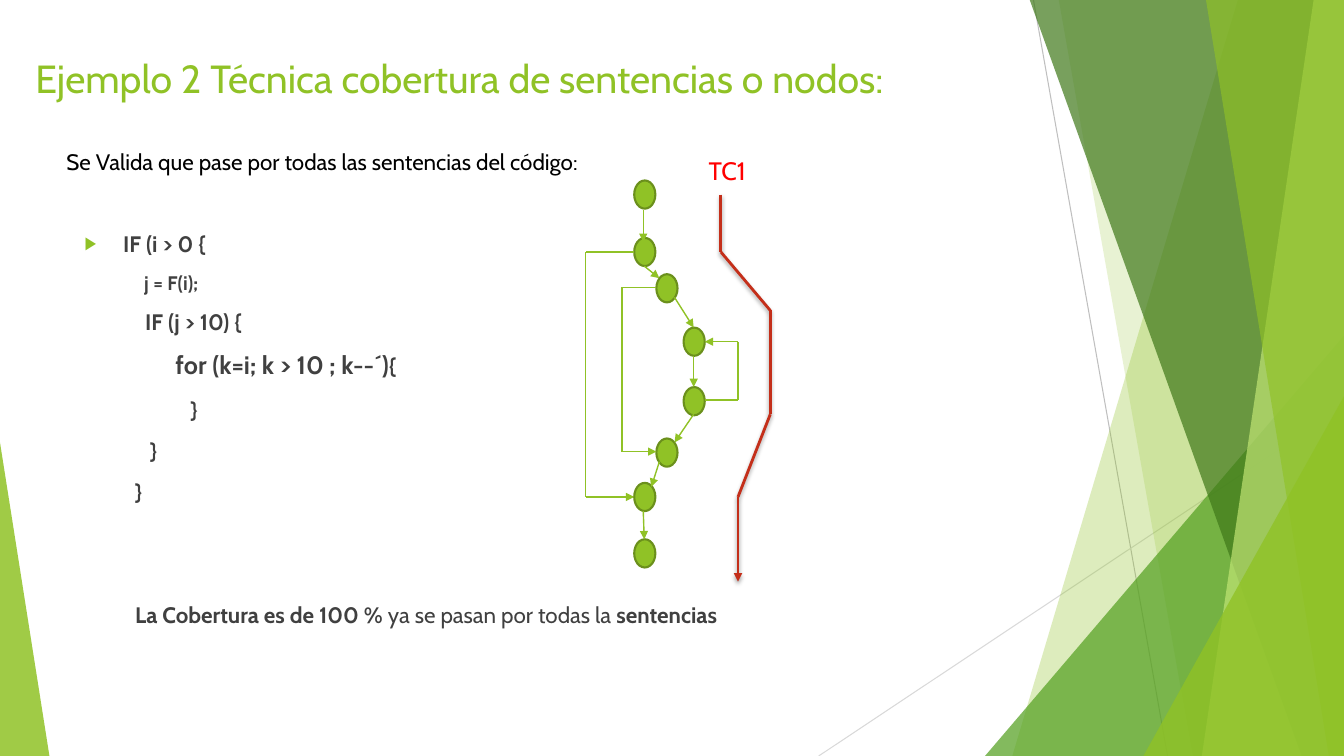
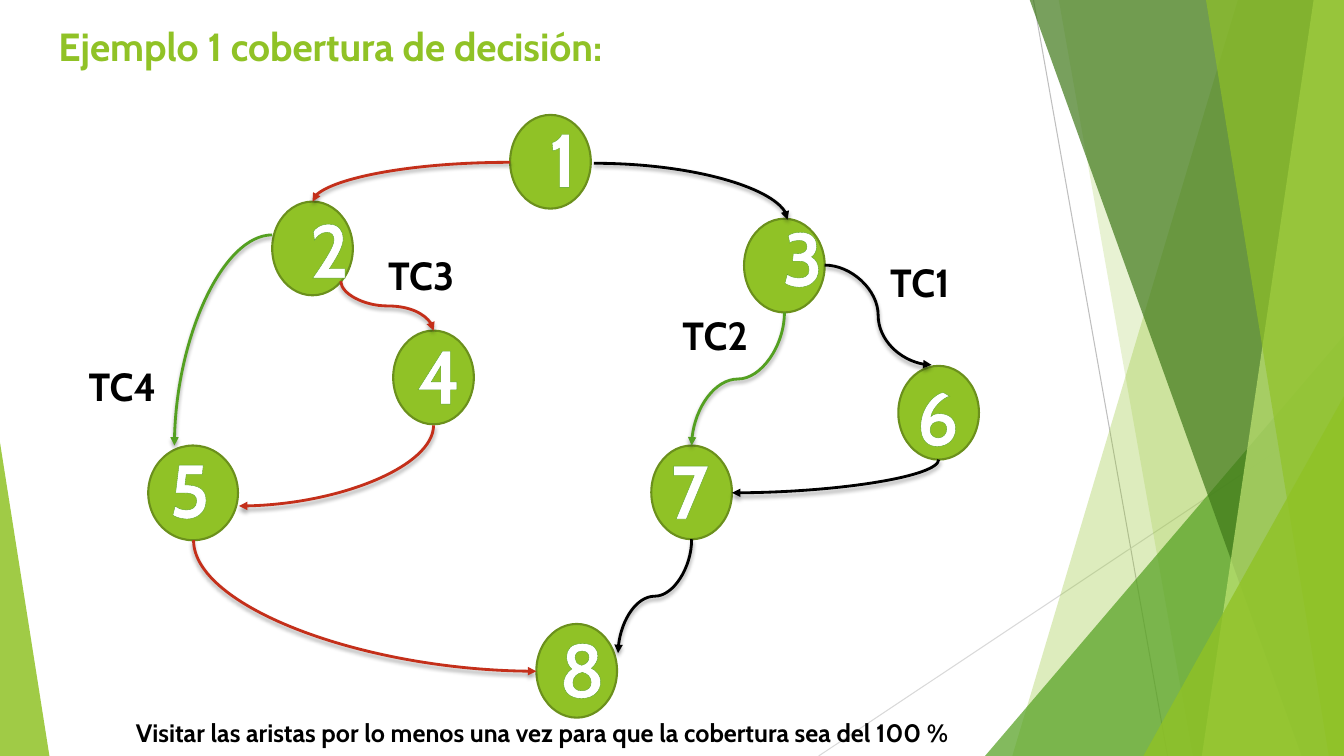
from itertools import pairwise
from lxml.etree import SubElement
from pptx import Presentation
from pptx.dml.color import RGBColor
from pptx.enum.shapes import MSO_CONNECTOR as Link, MSO_SHAPE as Kind
from pptx.enum.text import MSO_ANCHOR as Anchor, MSO_AUTO_SIZE as Fit, PP_ALIGN as Align
from pptx.oxml.ns import qn
from pptx.util import Inches, Pt

# Shared look
FONT = "Cabin"
LIME, GREEN, OLIVE, RED = "90C226", "54A021", "6B901C", "C42F1A"
BLACK, WHITE, GREY = "000000", "FFFFFF", "404040"
WIDE, HIGH = 13.33, 7.5

# Backdrop: thin rays, then panes from back to front
RAYS = [((10.25, 0), (11.58, HIGH), "BFBFBF"), ((WIDE, 4.03), (8.12, HIGH), "D9D9D9")]
# band: top x, bottom x; wedge: left, top, width, apex; then colour, opacity
PANES = [
    ("band", (12.28, 10.04), LIME, 30),
    ("band", (10.5, 11.83), LIME, 20),
    ("wedge", (9.77, 3.33, 3.56, 1), GREEN, 72),
    ("band", (10.21, 12.91), "3F7819", 70),
    ("band", (13.03, 11.92), "C0E474", 70),
    ("band", (11.96, 13.18), LIME, 65),
    ("wedge", (11.34, 3.93, 1.99, 1), LIME, 80),
    ("wedge", (0, 4.39, 0.49, 0), LIME, 85),
]

# Slide 1: code lines as indent, space before, runs of (text, size, bold)
CODE = [
    (0.38, 10, [("IF (i > 0 {", 16, True)]),
    (0.59, 10, [("j = F(i);", 14, True)]),
    (0.6, 10, [("IF (j > 10) {", 16, True)]),
    (0.9, 10, [("for (k=i; k > 10 ; k--´)", 18, True), ("{", 16, True)]),
    (1.05, 12, [("}", 16, True)]),
    (0.65, 10, [("}", 16, True)]),
    (0.5, 10, [("}", 16, True)]),
    (0.5, 69, [("La Cobertura es de 100 %", 16, True),
               (" ya se pasan por todas la ", 16, False), ("sentencias", 16, True)]),
]
DOTS = [(6.29, 1.79), (6.29, 2.36), (6.51, 2.72), (6.78, 3.25),
        (6.78, 3.84), (6.51, 4.35), (6.29, 4.79), (6.29, 5.35)]
STEPS = [
    [(6.38, 2.08), (6.38, 2.4)],
    [(6.39, 2.64), (6.54, 2.76)],
    [(6.69, 2.95), (6.88, 3.25)],
    [(6.88, 3.53), (6.88, 3.84)],
    [(6.88, 4.11), (6.69, 4.39)],
    [(6.54, 4.58), (6.46, 4.83)],
    [(6.38, 5.07), (6.39, 5.35)],
    [(6.99, 3.97), (7.32, 3.97), (7.32, 3.39), (6.99, 3.39)],
    [(6.51, 2.85), (6.17, 2.85), (6.17, 4.48), (6.51, 4.48)],
    [(6.29, 2.5), (5.81, 2.5), (5.81, 4.93), (6.29, 4.93)],
]
TRACE = [(7.15, 1.93), (7.15, 2.5), (7.64, 3.08), (7.64, 4.11), (7.32, 4.93), (7.32, 5.77)]

# Slide 2: number, oval left, top, width, height, digit left, top
NODES = [
    ("1", 5.06, 1.14, 0.8, 0.93, 5.32, 1.06),
    ("2", 2.7, 2, 0.8, 0.93, 2.97, 1.96),
    ("3", 7.38, 2.17, 0.8, 0.93, 7.66, 2.04),
    ("4", 3.9, 3.28, 0.8, 0.93, 4.04, 3.21),
    ("5", 1.47, 4.42, 0.89, 0.94, 1.58, 4.34),
    ("6", 8.91, 3.63, 0.8, 0.93, 8.99, 3.62),
    ("7", 6.46, 4.42, 0.8, 0.93, 6.55, 4.35),
    ("8", 5.32, 6.19, 0.8, 0.93, 5.45, 6.12),
]
# start, end, first direction, bends, colour
ARCS = [
    ((1.92, 5.36), (5.32, 6.66), "down", 1, RED),
    ((8.18, 2.63), (9.24, 3.62), "side", 2, BLACK),
    ((5.06, 1.61), (3.1, 2), "side", 1, RED),
    ((5.89, 1.62), (7.81, 2.18), "side", 1, BLACK),
    ((7.78, 3.1), (6.86, 4.42), "down", 2, GREEN),
    ((6.86, 5.35), (6.13, 6.48), "down", 2, BLACK),
    ((9.31, 4.56), (7.26, 4.89), "down", 1, BLACK),
    ((2.7, 2.33), (1.73, 4.42), "side", 1, GREEN),
    ((3.38, 2.79), (4.3, 3.28), "down", 2, RED),
    ((4.3, 4.22), (2.37, 5.02), "down", 1, RED),
]
TAGS = [("TC1", 8.73, 2.51), ("TC2", 6.67, 3.04), ("TC3", 3.75, 2.44), ("TC4", 0.78, 3.55)]


def rgb(code):
    return RGBColor.from_string(code)


def add(host, tag, **attrs):
    return SubElement(host, qn(tag), {key: str(val) for key, val in attrs.items()})


def style(run, size, color, bold=False):
    font = run.font
    font.name, font.size, font.bold = FONT, Pt(size), bold
    font.color.rgb = rgb(color)


def paint(shape, color, edge=None, clear=100):
    shape.shadow.inherit = False
    shape.fill.solid()
    shape.fill.fore_color.rgb = rgb(color)
    if clear < 100:
        tone = shape.element.spPr.find(".//" + qn("a:srgbClr"))
        add(tone, "a:alpha", val=clear * 1000)
    if edge:
        shape.line.color.rgb = rgb(edge)
        shape.line.width = Pt(1.5)
    else:
        shape.line.fill.background()
    return shape


def ink(line, color, width, arrow=False, shade=False):
    line.line.color.rgb = rgb(color)
    line.line.width = Pt(width)
    props = line.element.spPr
    if arrow:
        add(props.find(qn("a:ln")), "a:tailEnd", type="triangle")
    glow = add(props, "a:effectLst")
    if shade:
        drop = add(glow, "a:outerShdw", blurRad=Pt(3), dist=Pt(2), dir=90 * 60000,
                   algn="ctr", rotWithShape=0)
        add(add(drop, "a:srgbClr", val=BLACK), "a:alpha", val=35000)
    return line


def join(slide, start, end, kind=Link.STRAIGHT):
    return slide.shapes.add_connector(kind, *(Inches(n) for n in (*start, *end)))


def trail(slide, points, color, width, shade=False):
    pairs = list(pairwise(points))
    for i, (start, end) in enumerate(pairs, 1):
        ink(join(slide, start, end), color, width, i == len(pairs), shade)


def arc(slide, start, end, way, bends, color):
    """Curve down the slide; turn the box when it sets off downwards."""
    (x1, y1), (x2, y2) = start, end
    wide, high = abs(x2 - x1), y2 - y1
    midx, midy = (x1 + x2) / 2, (y1 + y2) / 2
    left = x2 < x1
    if way == "down":
        wide, high = high, wide
        turn, flip = (90, None) if left else (270, "flipH")
    else:
        turn, flip = (180, "flipV") if left else (0, None)
    line = join(slide, (midx - wide / 2, midy - high / 2),
                (midx + wide / 2, midy + high / 2), Link.CURVE)
    props = line.element.spPr
    frame = props.find(qn("a:xfrm"))
    frame.set("rot", str(turn * 60000))
    if flip:
        frame.set(flip, "1")
    props.find(qn("a:prstGeom")).set("prst", f"curvedConnector{bends + 1}")
    ink(line, color, 2, True, True)


def oval(slide, *box):
    paint(slide.shapes.add_shape(Kind.OVAL, *map(Inches, box)), LIME, OLIVE)


def label(slide, text, box, size, color, bold=False, wrap=False):
    frame = slide.shapes.add_textbox(*map(Inches, box)).text_frame
    frame.text, frame.word_wrap = text, wrap
    para = frame.paragraphs[0]
    style(para.runs[0], size, color, bold)
    return para


def place(holder, box):
    holder.left, holder.top, holder.width, holder.height = map(Inches, box)
    frame = holder.text_frame
    frame.auto_size, frame.vertical_anchor = Fit.NONE, Anchor.TOP
    return frame


def title(slide, text, box, bold=False):
    frame = place(slide.shapes.title, box)
    frame.text = text
    frame.paragraphs[0].alignment = Align.LEFT
    style(frame.paragraphs[0].runs[0], 28, LIME, bold)


def backdrop(slide, master):
    """Draw the rays and panes, then move them behind the master's text."""
    parts = [ink(join(slide, start, end), color, 0.75) for start, end, color in RAYS]
    for kind, size, color, clear in PANES:
        if kind == "band":
            top, foot = size
            pen = slide.shapes.build_freeform(Inches(top), Inches(-0.01))
            pen.add_line_segments([(Inches(x), Inches(y)) for x, y in
                                   ((WIDE, -0.01), (WIDE, HIGH), (foot, HIGH))])
            pane = pen.convert_to_shape()
        else:
            x, y, wide, apex = size
            pane = slide.shapes.add_shape(Kind.ISOSCELES_TRIANGLE,
                                          *map(Inches, (x, y, wide, HIGH - y)))
            pane.adjustments[0] = apex
        parts.append(paint(pane, color, clear=clear))
    for i, part in enumerate(parts):
        part.element.xpath(".//p:cNvPr")[0].set("id", str(20 + i))
        master.shapes.element.insert(2 + i, part.element)


deck = Presentation()
deck.slide_width, deck.slide_height = Inches(WIDE), Inches(HIGH)

# Slide 1: statement coverage
slide = deck.slides.add_slide(deck.slide_layouts[1])
backdrop(slide, deck.slide_master)
title(slide, "Ejemplo 2 Técnica cobertura de sentencias o nodos:", (0.25, 0.49, 10.62, 0.81))

body = place(slide.placeholders[1], (0.74, 2.23, 9.4, 4.24))
for i, (indent, gap, runs) in enumerate(CODE):
    para = body.add_paragraph() if i else body.paragraphs[0]
    para.level, para.space_before = min(i, 1), Pt(gap)
    for text, size, bold in runs:
        run = para.add_run()
        run.text = text
        style(run, size, GREY, bold)
    props = para._p.get_or_add_pPr()
    props.set("marL", str(Inches(indent)))
    props.set("indent", str(0 if i else -Inches(indent)))
    if i:
        add(props, "a:buNone")
    else:
        add(add(props, "a:buClr"), "a:srgbClr", val=LIME)
        add(props, "a:buSzPct", val=80000)
        add(props, "a:buChar", char="▶")

for x, y in DOTS:
    oval(slide, x, y, 0.21, 0.28)
for step in STEPS:
    trail(slide, step, LIME, 1)
trail(slide, TRACE, RED, 2, True)
label(slide, "Se Valida que pase por todas las sentencias del código:",
      (0.56, 1.42, 5.82, 0.37), 16, BLACK)
label(slide, "TC1", (6.93, 1.49, 0.63, 0.4), 18, "FF0000")

# Slide 2: decision coverage
slide = deck.slides.add_slide(deck.slide_layouts[5])
title(slide, "Ejemplo 1 cobertura de decisión:", (0.48, 0.17, 10.02, 0.63), True)
for node in NODES:
    oval(slide, *node[1:5])
for route in ARCS:
    arc(slide, *route)
for node in NODES:
    para = label(slide, node[0], (*node[5:], 0.52, 1.01), 54, WHITE, True, True)
    para.alignment = Align.CENTER
    props = para.runs[0].font._element
    edge = add(props, "a:ln", w=Pt(0.52))
    add(add(edge, "a:solidFill"), "a:srgbClr", val=GREEN)
    props.insert(0, edge)
for text, x, y in TAGS:
    label(slide, text, (x, y, 0.91, 0.57), 28, BLACK, True)
label(slide, "Visitar las aristas por lo menos una vez para que la cobertura sea del 100 %",
      (1.25, 7.07, 9.35, 0.4), 18, BLACK, True, True)

deck.save("out.pptx")
